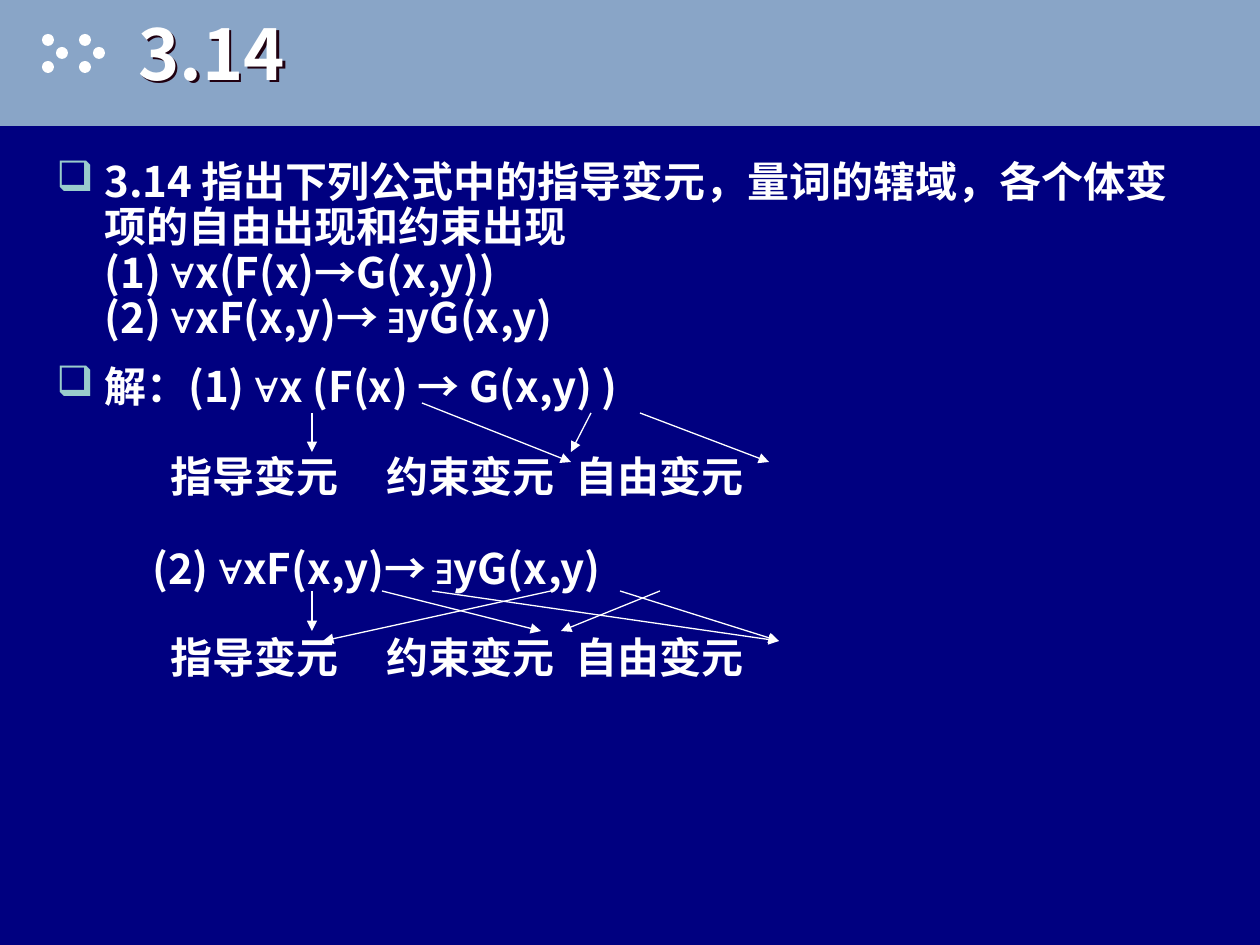
from lxml import etree
from pptx import Presentation
from pptx import util as u
from pptx.dml.color import RGBColor
from pptx.enum import shapes, text
from pptx.oxml import ns

SCALE = 914400 / 126
WHITE, NAVY, BAND, BULLET, SHADOW = "FFFFFF", "000080", "89A5C7", "99CCCC", "200010"
MAIN_FONT, SYMBOL_FONT, BULLET_FONT = "Noto Sans CJK SC", "Arial", "OpenSymbol"


def px(length):
    return u.Emu(round(length * SCALE))


def color(hex_string):
    return RGBColor.from_string(hex_string)


def add_xml(parent, tag, **attributes):
    return etree.SubElement(parent, ns.qn(tag), attributes)


def set_face(font, name):
    font.name = name
    add_xml(font._rPr, "a:ea", typeface=name)


def set_style(font, size):
    font.size = u.Pt(size)
    font.bold = True
    font.color.rgb = color(WHITE)


def add_shape(slide, kind, left, top, width, height, fill):
    shape = slide.shapes.add_shape(kind, px(left), px(top), px(width), px(height))
    shape.shadow.inherit = False
    shape.fill.solid()
    shape.fill.fore_color.rgb = color(fill)
    shape.line.fill.background()


def add_text_box(slide, left, top, width, height):
    box = slide.shapes.add_textbox(px(left), px(top), px(width), px(height))
    box.text_frame.word_wrap = True
    return box


def add_header(slide, left, top, width, height):
    add_shape(slide, shapes.MSO_SHAPE.RECTANGLE, left, top, width, height, BAND)
    # Two arrowheads made of dots
    for cluster in (42, 79):
        for x, y in ((0, 34), (14, 47), (0, 61)):
            add_shape(slide, shapes.MSO_SHAPE.OVAL, left + cluster + x, top + y, 12, 12, WHITE)
    # Title with a hard shadow
    box = add_text_box(slide, left + 126, top, width - 126, 105)
    box.text_frame.vertical_anchor = text.MSO_ANCHOR.MIDDLE
    paragraph = box.text_frame.paragraphs[0]
    paragraph.text = "3.14"
    set_style(paragraph.font, 40)
    set_face(paragraph.font, MAIN_FONT)
    effects = add_xml(box._element.spPr, "a:effectLst")
    shadow = add_xml(effects, "a:outerShdw", dist="25400", dir="2700000", algn="tl")
    add_xml(shadow, "a:srgbClr", val=SHADOW)


def add_line(frame, parts, indent=0, bullet=False, before=0):
    """Add a paragraph; parts alternate between main and symbol font."""
    first = not frame.paragraphs[0].runs
    paragraph = frame.paragraphs[0] if first else frame.add_paragraph()
    properties = paragraph._p.get_or_add_pPr()
    properties.set("marL", str(px(indent)))
    properties.set("indent", str(px(-indent if bullet else 0)))
    if bullet:
        add_xml(add_xml(properties, "a:buClr"), "a:srgbClr", val=BULLET)
        add_xml(properties, "a:buFont", typeface=BULLET_FONT)
        add_xml(properties, "a:buChar", char="❑")
    else:
        add_xml(properties, "a:buNone")
    paragraph.line_spacing = 0.9
    paragraph.space_before = u.Pt(before)
    set_style(paragraph.font, 24)
    for index, part in enumerate(parts):
        run = paragraph.add_run()
        run.text = part
        set_face(run.font, SYMBOL_FONT if index % 2 else MAIN_FONT)


def add_body(slide, left, top, width, height):
    frame = add_text_box(slide, left, top, width, height).text_frame
    second_formula = ("(2) ", "∀", "xF(x,y)→ ", "∃", "yG(x,y)")
    # Question
    add_line(frame, ["3.14 指出下列公式中的指导变元，量词的辖域，各个体变项的自由出现和约束出现"],
             indent=48, bullet=True)
    add_line(frame, ("(1) ", "∀", "x(F(x)→G(x,y))"), indent=48)
    add_line(frame, second_formula, indent=48)
    # Answer, with room for a label row between the formulas
    add_line(frame, ("解：(1) ", "∀", "x (F(x) → G(x,y) )"),
             indent=48, bullet=True, before=13.5)
    add_line(frame, second_formula, indent=96, before=78)


def add_diagram(slide, left, top, label_top, arrows):
    # Kinds of variable
    for x, label in ((0, "指导变元"), (216, "约束变元"), (405, "自由变元")):
        box = add_text_box(slide, left + x, label_top, 200, 58)
        add_line(box.text_frame, [label])
    # Arrows from the formula
    for x1, y1, x2, y2 in arrows:
        arrow = slide.shapes.add_connector(
            shapes.MSO_CONNECTOR.STRAIGHT,
            px(left + x1), px(top + y1), px(left + x2), px(top + y2))
        arrow.line.color.rgb = color(WHITE)
        arrow.line.width = u.Pt(0.75)
        add_xml(arrow.line._get_or_add_ln(), "a:tailEnd", type="triangle")
        add_xml(arrow._element.spPr, "a:effectLst")


def main():
    presentation = Presentation()
    presentation.slide_width, presentation.slide_height = px(1260), px(945)
    slide = presentation.slides.add_slide(presentation.slide_layouts[6])
    slide.background.fill.solid()
    slide.background.fill.fore_color.rgb = color(NAVY)

    add_header(slide, 0, 0, 1260, 126)
    add_body(slide, 44, 155, 1160, 735)
    add_diagram(slide, 158, 413, 450, [
        (154, 0, 154, 39), (264, -10, 413, 49), (433, 0, 413, 39), (482, 0, 611, 49)])
    add_diagram(slide, 158, 591, 631, [
        (154, 0, 154, 40), (393, 0, 165, 50), (224, 0, 383, 40),
        (502, 0, 403, 40), (274, 0, 621, 50), (462, 0, 621, 50)])
    presentation.save("out.pptx")


if __name__ == "__main__":
    main()
